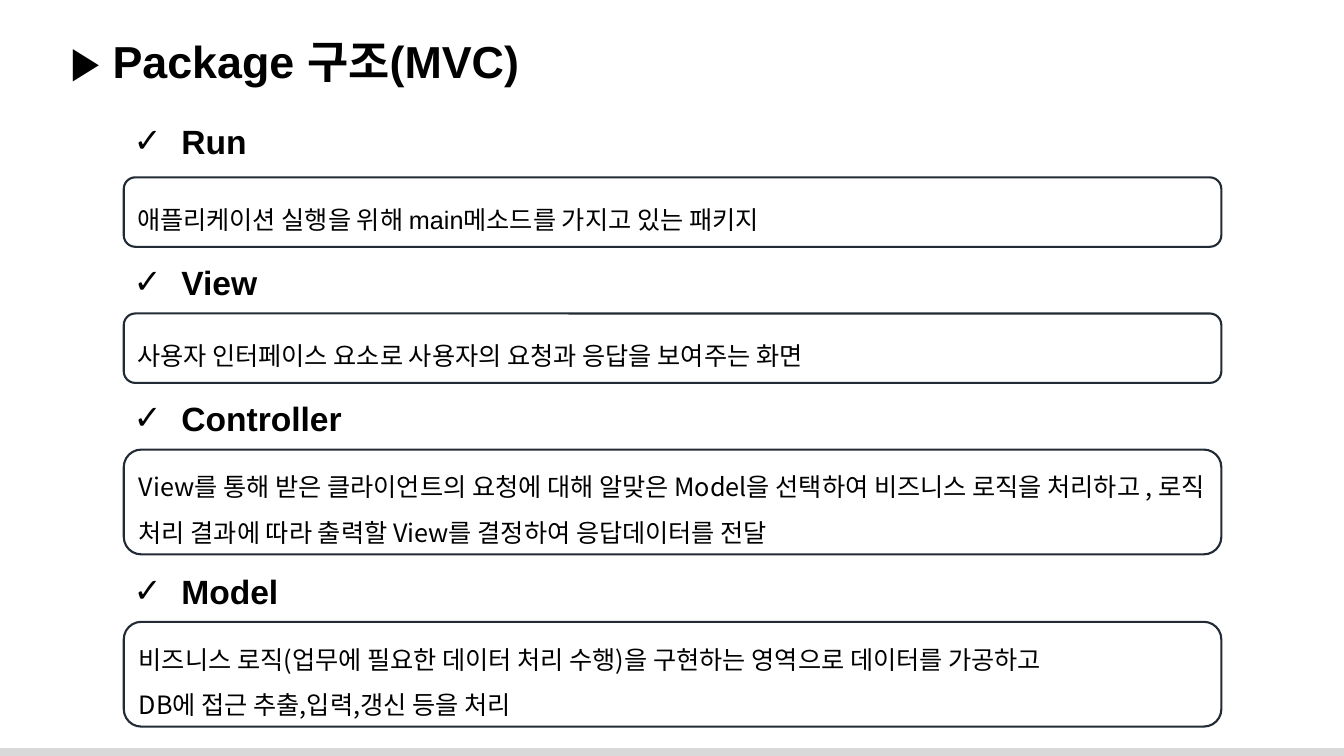
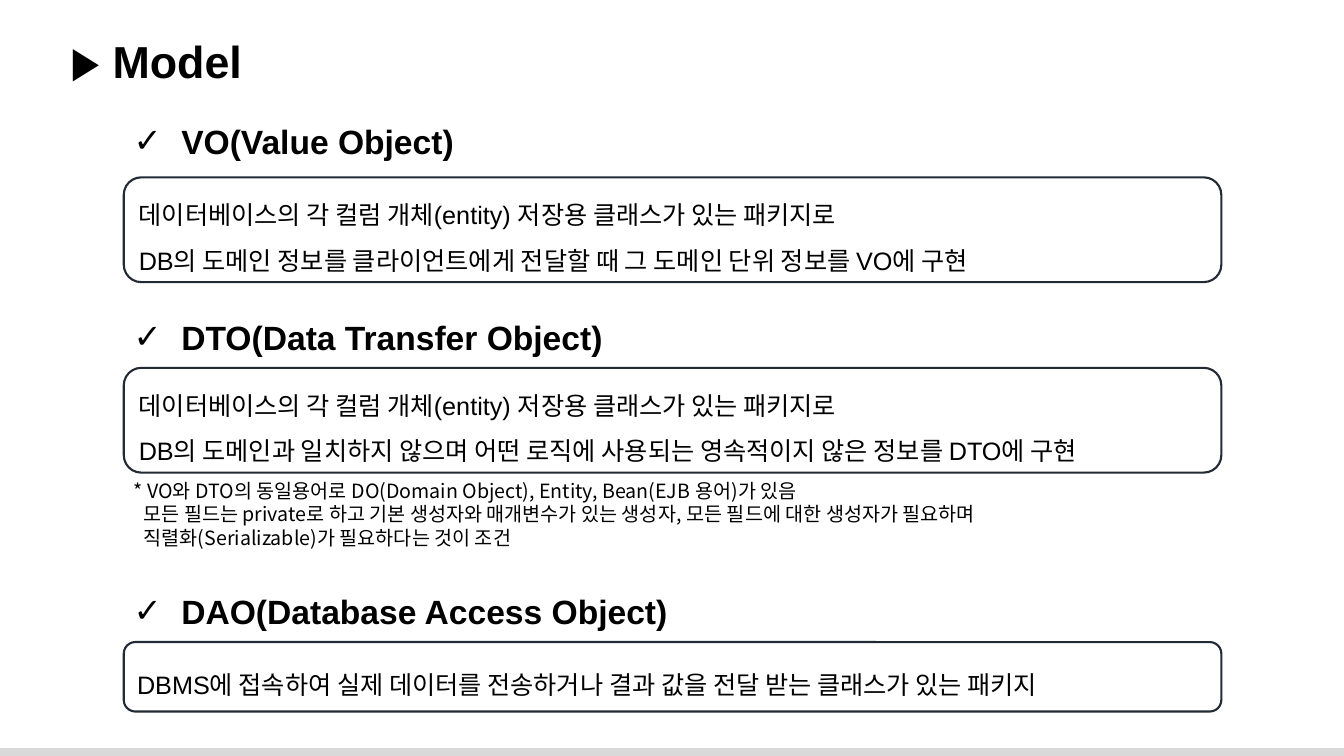
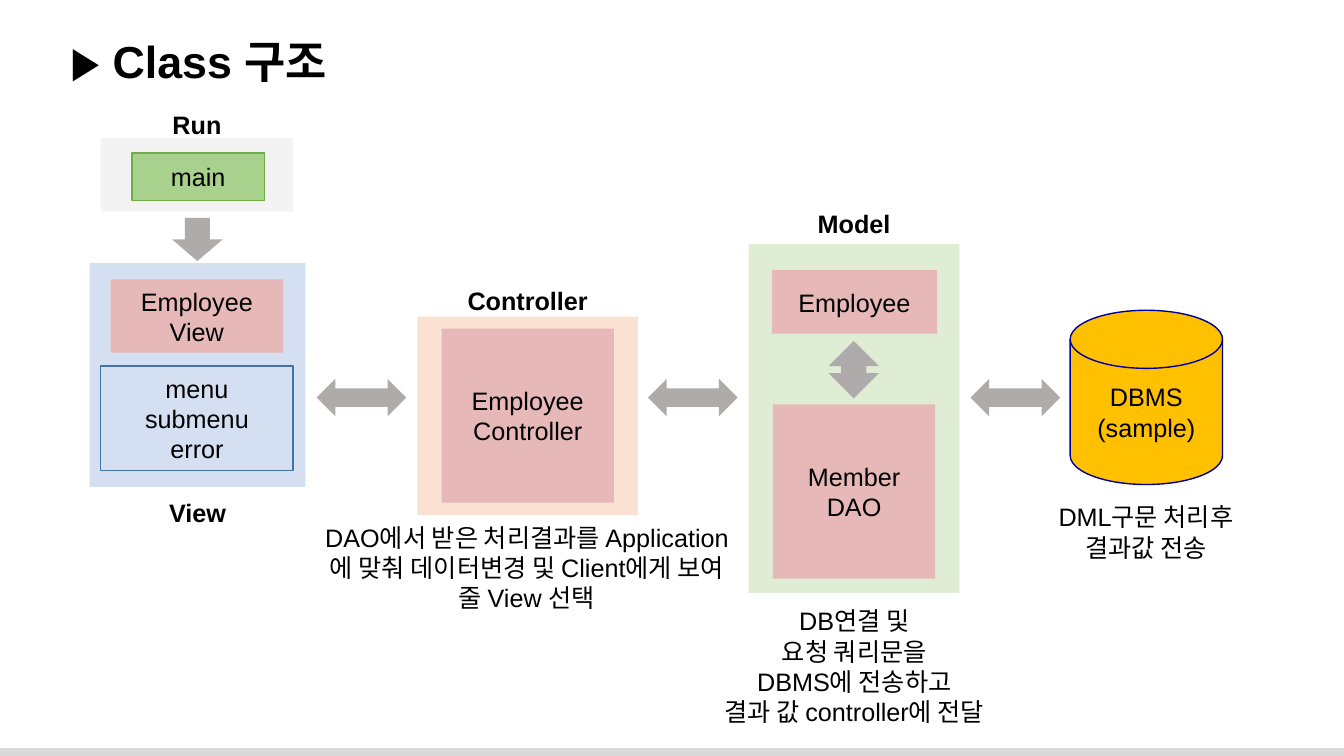
from lxml import etree
from pptx import Presentation
from pptx.dml.color import RGBColor
from pptx.enum.shapes import MSO_SHAPE
from pptx.enum.text import MSO_ANCHOR, MSO_AUTO_SIZE, PP_ALIGN
from pptx.oxml.ns import qn
from pptx.util import Cm, Pt

RECT, ROUNDED = MSO_SHAPE.RECTANGLE, MSO_SHAPE.ROUNDED_RECTANGLE
DISK = MSO_SHAPE.FLOWCHART_MAGNETIC_DISK
DOWN, ACROSS = MSO_SHAPE.DOWN_ARROW, MSO_SHAPE.LEFT_RIGHT_ARROW
UP_DOWN = MSO_SHAPE.UP_DOWN_ARROW
LEFT, CENTER = PP_ALIGN.LEFT, PP_ALIGN.CENTER
TOP, MIDDLE = MSO_ANCHOR.TOP, MSO_ANCHOR.MIDDLE

LATIN, KOREAN = "Arial", "Noto Sans CJK KR"
BLACK, FRAME, BAND, ARROW = "000000", "222A35", "D9D9D9", "AFABAB"
PINK = "E6B9B8"

PAGE_WIDTH, PAGE_HEIGHT = 33.87, 19.05
SECTION_LEFT, SECTION_WIDTH = 3.12, 27.66
ONE_LINE, TWO_LINES = 1.75, 2.64


def color(value):
    return RGBColor.from_string(value)


def add_text(frame, text, size=18, bold=False, font=LATIN, align=LEFT,
             anchor=TOP, spacing=None, margin=0, bullet=None):
    """Write text: a newline starts a paragraph, a vertical tab breaks a line."""
    frame.word_wrap = True
    frame.auto_size = MSO_AUTO_SIZE.NONE
    frame.vertical_anchor = anchor
    frame.text = text
    for para in frame.paragraphs:
        para.alignment = align
        if spacing:
            para.line_spacing = spacing
        props = para._p.get_or_add_pPr()
        if margin:
            props.set("marL", str(Cm(margin)))
            props.set("indent", str(-Cm(margin)))
        if bullet:
            etree.SubElement(props, qn("a:buFont")).set("typeface", LATIN)
            etree.SubElement(props, qn("a:buChar")).set("char", bullet)
        for span in para.runs:
            span.font.size = Pt(size)
            span.font.bold = bold
            span.font.name = font
            span.font.color.rgb = color(BLACK)
            east_asian = etree.SubElement(span._r.get_or_add_rPr(), qn("a:ea"))
            east_asian.set("typeface", KOREAN)


def add_box(page, kind, left, top, width, height, fill=None, line=None,
            weight=1, opacity=None, text=None, **style):
    box = page.shapes.add_shape(kind, Cm(left), Cm(top), Cm(width), Cm(height))
    box.shadow.inherit = False
    if fill:
        box.fill.solid()
        box.fill.fore_color.rgb = color(fill)
    else:
        box.fill.background()
    if opacity:
        tint = box.element.spPr.find(qn("a:solidFill"))[0]
        etree.SubElement(tint, qn("a:alpha")).set("val", str(opacity * 1000))
    if line:
        box.line.color.rgb = color(line)
        box.line.width = Pt(weight)
    else:
        box.line.fill.background()
    if text:
        add_text(box.text_frame, text, anchor=MIDDLE, **style)
    return box


def add_label(page, left, top, width, height, text, inset=0.25, **style):
    label = page.shapes.add_textbox(Cm(left), Cm(top), Cm(width), Cm(height))
    label.text_frame.margin_left = Cm(inset)
    label.text_frame.margin_right = 0 if style.get("bullet") else Cm(inset)
    add_text(label.text_frame, text, **style)


def add_page(deck, title):
    page = deck.slides.add_slide(deck.slide_layouts[5])
    box = page.shapes.title
    box.left, box.top, box.width, box.height = Cm(1.52), Cm(0.71), Cm(32), Cm(1.63)
    add_text(box.text_frame, "▶ " + title, size=32, bold=True)
    return page


def add_band(deck, page):
    """Put the footer band on the layout, so that every page shows it."""
    height = 0.2
    band = add_box(page, RECT, 0, PAGE_HEIGHT - height, PAGE_WIDTH, height, fill=BAND)
    band.element.nvSpPr.cNvPr.set("id", "99")
    deck.slide_layouts[5].shapes.element.append(band.element)


def add_section(page, top, heading, heading_width, text, height=ONE_LINE,
                gap=1.42, font=LATIN):
    """A ticked heading with a framed description under it."""
    add_label(page, SECTION_LEFT, top, heading_width, 1.27, heading,
              size=24, bold=True, margin=1.2, bullet="✓")
    add_box(page, ROUNDED, SECTION_LEFT, top + gap, SECTION_WIDTH, height,
            line=FRAME, weight=1.5, text=text, font=font, spacing=1.5)


def add_panel(page, left, top, width, height, fill, label, label_width,
              label_top, parts):
    """A tinted panel, its label and its parts, placed from its corner."""
    add_box(page, RECT, left, top, width, height, fill=fill, opacity=56)
    add_label(page, left + (width - label_width) / 2, top + label_top,
              label_width, 1.02, label, inset=0, bold=True, align=CENTER)
    for kind, across, down, part_width, part_height, style in parts:
        add_box(page, kind, left + across, top + down, part_width, part_height,
                align=CENTER, **style)


def build_package_page(deck):
    page = add_page(deck, "Package 구조(MVC)")
    add_band(deck, page)
    add_section(page, 2.92, "Run", 3.38,
                "애플리케이션 실행을 위해 main메소드를 가지고 있는 패키지", gap=1.55)
    add_section(page, 6.48, "View", 3.73,
                "사용자 인터페이스 요소로 사용자의 요청과 응답을 보여주는 화면", font=KOREAN)
    add_section(page, 9.91, "Controller", 5.84,
                "View를 통해 받은 클라이언트의 요청에 대해 알맞은 Model을 선택하여 "
                "비즈니스 로직을 처리하고 , 로직 처리 결과에 따라 출력할 View를 "
                "결정하여 응답데이터를 전달", TWO_LINES, font=KOREAN)
    add_section(page, 14.25, "Model", 4.37,
                "비즈니스 로직(업무에 필요한 데이터 처리 수행)을 구현하는 영역으로 "
                "데이터를 가공하고\vDB에 접근 추출,입력,갱신 등을 처리",
                TWO_LINES, font=KOREAN)


def build_model_page(deck):
    page = add_page(deck, "Model")
    storage = "데이터베이스의 각 컬럼 개체(entity) 저장용 클래스가 있는 패키지로\n"
    add_section(page, 2.92, "VO(Value Object)", 8.79,
                storage + "DB의 도메인 정보를 클라이언트에게 전달할 때 "
                "그 도메인 단위 정보를 VO에 구현", TWO_LINES, gap=1.55)
    add_section(page, 7.87, "DTO(Data Transfer Object)", 12.55,
                storage + "DB의 도메인과 일치하지 않으며 어떤 로직에 사용되는 "
                "영속적이지 않은 정보를 DTO에 구현", TWO_LINES, gap=1.4)
    add_label(page, SECTION_LEFT, 11.94, 24.21, 2.06,
              "* VO와 DTO의 동일용어로 DO(Domain Object), Entity, Bean(EJB 용어)가 있음\v"
              "모든 필드는 private로 하고 기본 생성자와 매개변수가 있는 생성자, "
              "모든 필드에 대한 생성자가 필요하며\v"
              "직렬화(Serializable)가 필요하다는 것이 조건",
              size=14, font=KOREAN, margin=0.25)
    add_section(page, 14.76, "DAO(Database Access Object)", 13.97,
                "DBMS에 접속하여 실제 데이터를 전송하거나 결과 값을 "
                "전달 받는 클래스가 있는 패키지")


def build_class_page(deck):
    page = add_page(deck, "Class 구조")

    # Panels for the four packages
    add_panel(page, 2.54, 3.48, 4.85, 1.85, "EAEAEA", "Run", 1.78, -0.84, [
        (RECT, 0.79, 0.38, 3.33, 1.19,
         {"fill": "A9D18E", "line": "70AD47", "text": "main"})])
    add_panel(page, 2.26, 6.63, 5.44, 5.64, "B4C7E7", "View", 2.16, 5.77, [
        (RECT, 0.53, 0.41, 4.34, 1.85, {"fill": PINK, "text": "Employee View"}),
        (RECT, 0.28, 2.59, 4.85, 2.64,
         {"line": "43739E", "text": "menu\nsubmenu\nerror"})])
    add_panel(page, 10.52, 7.98, 5.56, 5, "F8CBAD", "Controller", 3.78, -0.91, [
        (RECT, 0.61, 0.3, 4.34, 4.39,
         {"fill": PINK, "text": "Employee\nController"})])
    add_panel(page, 18.87, 6.15, 5.31, 8.79, "C5E0B4", "Model", 2.62, -1.02, [
        (RECT, 0.58, 0.66, 4.17, 1.6, {"fill": PINK, "text": "Employee"}),
        (RECT, 0.61, 4.04, 4.09, 4.39, {"fill": PINK, "text": "Member\nDAO"}),
        (UP_DOWN, 2.01, 2.44, 1.27, 1.45, {"fill": ARROW})])

    # Database
    add_box(page, DISK, 26.97, 7.82, 3.84, 4.39, fill="FFC000", line="000099",
            text="DBMS\n(sample)", align=CENTER)

    # Arrows between the panels
    add_box(page, DOWN, 4.34, 5.49, 1.27, 1.09, fill=ARROW)
    for left in (7.98, 16.33, 24.46):
        add_box(page, ACROSS, left, 9.55, 2.26, 0.94, fill=ARROW)

    # Captions
    captions = [
        (7.92, 13.03, 10.72, 2.57,
         "DAO에서 받은 처리결과를 Application에 맞춰 데이터변경 및 "
         "Client에게 보여 줄 View 선택"),
        (17.63, 15.14, 7.8, 3.33,
         "DB연결 및\n요청 쿼리문을\nDBMS에 전송하고\n결과 값 controller에 전달"),
        (26.06, 12.52, 5.64, 1.8, "DML구문 처리후 결과값 전송"),
    ]
    for left, top, width, height, text in captions:
        add_label(page, left, top, width, height, text, align=CENTER)


def main():
    deck = Presentation()
    deck.slide_width, deck.slide_height = Cm(PAGE_WIDTH), Cm(PAGE_HEIGHT)
    build_package_page(deck)
    build_model_page(deck)
    build_class_page(deck)
    deck.save("out.pptx")


if __name__ == "__main__":
    main()
